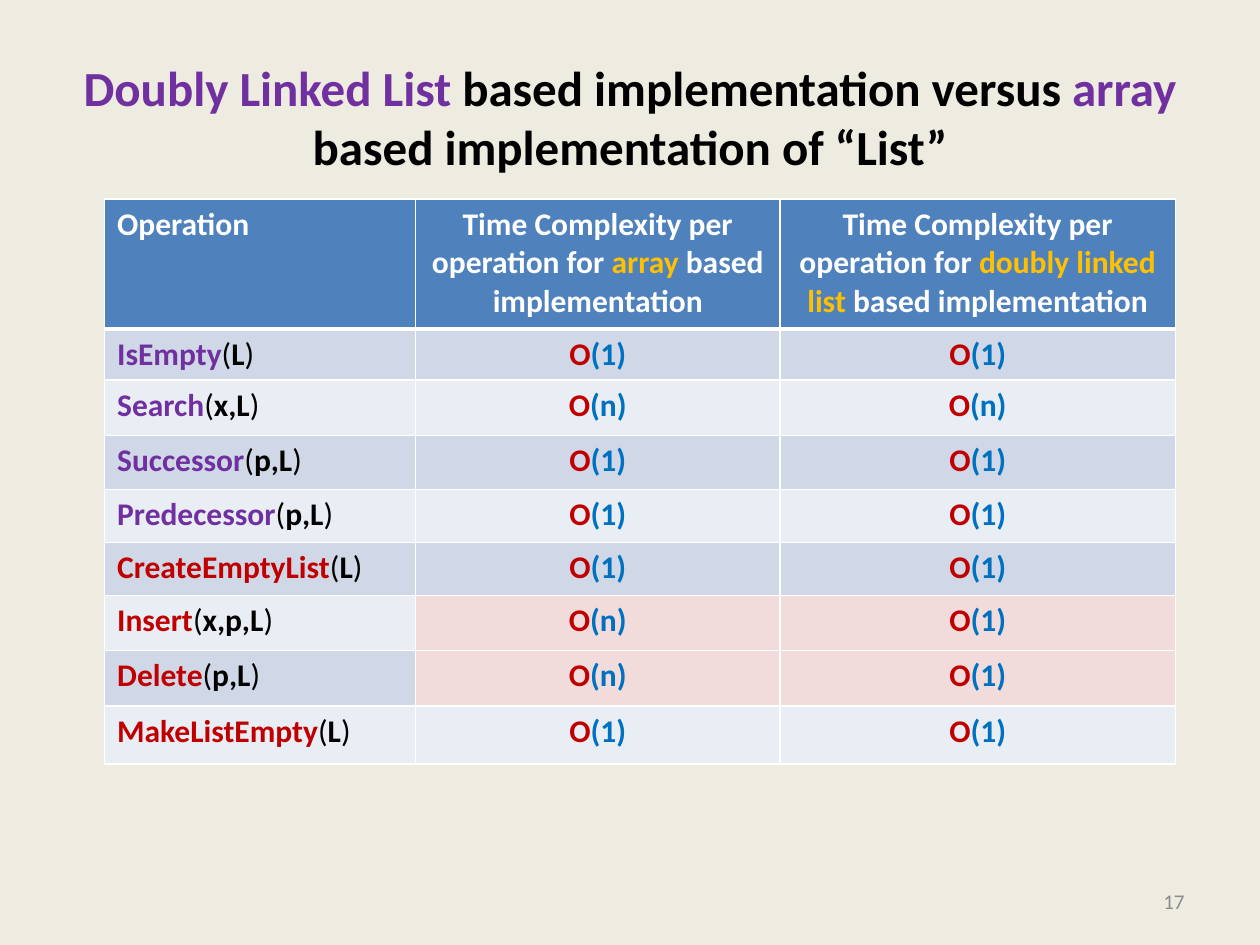
from lxml import etree
from pptx import Presentation
from pptx import util as u
from pptx.dml.color import RGBColor
from pptx.enum import text
from pptx.oxml.ns import qn

WIDTH, HEIGHT = u.Inches(10), u.Inches(7.5)
FONT = "Calibri"
COLORS = {
    "background": "EEECE1", "black": "000000", "white": "FFFFFF", "gray": "8C8C8C",
    "purple": "7030A0", "red": "C00000", "blue": "0070C0", "gold": "FFC000",
    "header": "4F81BD", "band_dark": "D0D8E8", "band_light": "E9EDF4", "highlight": "F2DCDB",
}
COLUMNS = (2.47, 2.89, 3.14)
ROWS = (1.03, 0.39, 0.44, 0.43, 0.42, 0.42, 0.44, 0.44, 0.46)
HEADERS = (
    [("Operation", "white")],
    [("Time Complexity per operation for ", "white"), ("array", "gold"),
     (" based implementation", "white")],
    [("Time Complexity per operation for ", "white"), ("doubly linked list", "gold"),
     (" based implementation", "white")],
)
OPERATIONS = (
    ("IsEmpty", "L", "purple", "1", "1"),
    ("Search", "x,L", "purple", "n", "n"),
    ("Successor", "p,L", "purple", "1", "1"),
    ("Predecessor", "p,L", "purple", "1", "1"),
    ("CreateEmptyList", "L", "red", "1", "1"),
    ("Insert", "x,p,L", "red", "n", "1"),
    ("Delete", "p,L", "red", "n", "1"),
    ("MakeListEmpty", "L", "red", "1", "1"),
)


def rgb(name):
    """Return the named colour."""
    return RGBColor.from_string(COLORS[name])


def write_text(frame, runs, size=18, align=text.PP_ALIGN.CENTER, bold=True):
    """Write (words, colour[, bold]) runs into the frame's first paragraph."""
    paragraph = frame.paragraphs[0]
    paragraph.alignment = align
    for words, color, *weight in runs:
        run = paragraph.add_run()
        run.text = words
        run.font.name = FONT
        run.font.size = u.Pt(size)
        run.font.bold = weight[0] if weight else bold
        run.font.color.rgb = rgb(color)


def set_borders(cell, top=1, bottom=1):
    """Draw white lines of the given point widths around a cell."""
    properties = cell._tc.get_or_add_tcPr()
    sides = (("a:lnL", 1), ("a:lnR", 1), ("a:lnT", top), ("a:lnB", bottom))
    for index, (tag, width) in enumerate(sides):
        line = etree.Element(qn(tag), w=str(u.Pt(width)))
        fill = etree.SubElement(line, qn("a:solidFill"))
        etree.SubElement(fill, qn("a:srgbClr"), val=COLORS["white"])
        properties.insert(index, line)


def place_title(slide, left, top, width, height):
    """Place and format the title."""
    title = slide.shapes.title
    title.left, title.top, title.width, title.height = left, top, width, height
    frame = title.text_frame
    frame.word_wrap = True
    frame.auto_size = text.MSO_AUTO_SIZE.NONE
    frame.vertical_anchor = text.MSO_ANCHOR.MIDDLE
    write_text(frame, [
        ("Doubly Linked List ", "purple"), ("based implementation versus ", "black"),
        ("array", "purple"), (" based implementation of “List”", "black"),
    ], size=28)


def operation_cells(name, arguments, color, array_cost, list_cost):
    """Return the runs of the three cells for an operation."""
    call = [(name, color), ("(", "black", False), (arguments, "black"), (")", "black", False)]
    return [call] + [[("O", "red"), (f"({cost})", "blue")] for cost in (array_cost, list_cost)]


def cell_fill(row, column):
    """Return the fill colour name for a table position."""
    if row == 0:
        return "header"
    if column and OPERATIONS[row - 1][0] in ("Insert", "Delete"):
        return "highlight"
    return "band_dark" if row % 2 else "band_light"


def place_table(slide, left, top, width, height):
    """Place the complexity table, sharing the box among its columns and rows."""
    table = slide.shapes.add_table(len(ROWS), len(COLUMNS), left, top, width, height).table
    for column, share in zip(table.columns, COLUMNS):
        column.width = int(width * share / sum(COLUMNS))
    for row, share in zip(table.rows, ROWS):
        row.height = int(height * share / sum(ROWS))
    contents = [HEADERS] + [operation_cells(*operation) for operation in OPERATIONS]
    for row, cells in enumerate(contents):
        for column, runs in enumerate(cells):
            cell = table.cell(row, column)
            align = text.PP_ALIGN.CENTER if column else text.PP_ALIGN.LEFT
            write_text(cell.text_frame, runs, align=align)
            cell.fill.solid()
            cell.fill.fore_color.rgb = rgb(cell_fill(row, column))
            set_borders(cell, top=3 if row == 1 else 1, bottom=3 if row == 0 else 1)


def place_number(slide, left, top, width, height):
    """Place the slide number."""
    frame = slide.shapes.add_textbox(left, top, width, height).text_frame
    frame.word_wrap = True
    frame.vertical_anchor = text.MSO_ANCHOR.MIDDLE
    write_text(frame, [("17", "gray")], size=12, align=text.PP_ALIGN.RIGHT, bold=False)


def main():
    """Build and save the slide."""
    presentation = Presentation()
    presentation.slide_width, presentation.slide_height = WIDTH, HEIGHT
    slide = presentation.slides.add_slide(presentation.slide_layouts.get_by_name("Title Only"))
    slide.background.fill.solid()
    slide.background.fill.fore_color.rgb = rgb("background")
    margin = int(WIDTH * 0.05)
    place_title(slide, margin, int(HEIGHT * 0.04), WIDTH - 2 * margin, u.Inches(1.25))
    place_table(slide, u.Inches(0.83), u.Inches(1.58),
                u.Inches(sum(COLUMNS)), u.Inches(sum(ROWS)))
    number_width = u.Inches(2.33)
    place_number(slide, WIDTH - margin - number_width, u.Inches(6.95),
                 number_width, u.Inches(0.4))
    presentation.save("out.pptx")


if __name__ == "__main__":
    main()
